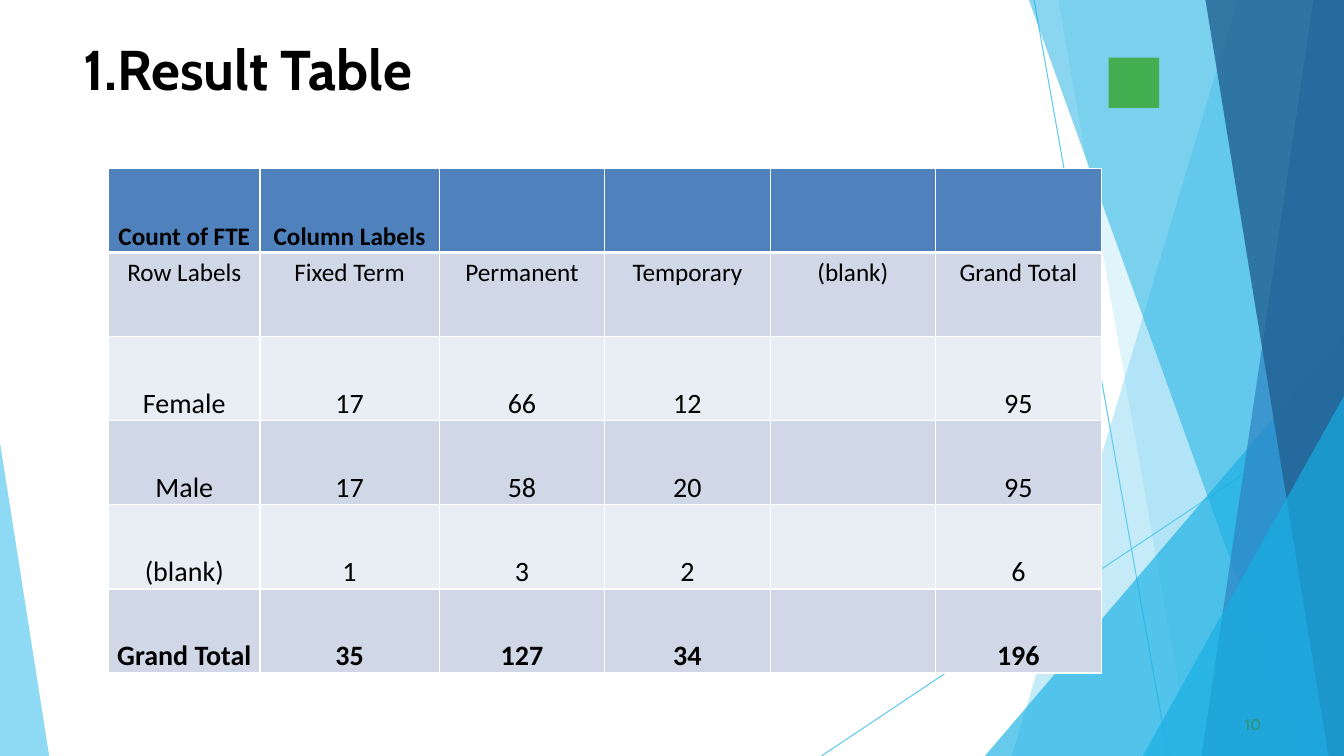
from lxml import etree
from pptx import Presentation
from pptx.dml.color import RGBColor
from pptx.enum.shapes import MSO_CONNECTOR, MSO_SHAPE
from pptx.enum.text import MSO_ANCHOR, MSO_AUTO_SIZE, PP_ALIGN
from pptx.oxml.ns import qn
from pptx.util import Cm, Pt

STRAIGHT = MSO_CONNECTOR.STRAIGHT
RECTANGLE = MSO_SHAPE.RECTANGLE
TOP, BOTTOM = MSO_ANCHOR.TOP, MSO_ANCHOR.BOTTOM
LEFT, CENTER = PP_ALIGN.LEFT, PP_ALIGN.CENTER
NO_AUTOFIT = MSO_AUTO_SIZE.NONE
TITLE_ONLY = 5

COLORS = {
    "sky": "5FCAEE", "cyan": "17AFE3", "blue": "2D83C3", "navy": "226192",
    "green": "42AF51", "page": "2D936B", "black": "000000", "white": "FFFFFF",
    "header": "4F81BD", "dark band": "D0D8E8", "light band": "E9EDF4",
}
WIDTH, HEIGHT = 33.87, 19.05

TITLE = "1.Result Table"
PAGE_NUMBER = "10"
ROWS = [
    ["Count of FTE", "Column Labels", "", "", "", ""],
    ["Row Labels", "Fixed Term", "Permanent", "Temporary", "(blank)", "Grand Total"],
    ["Female", "17", "66", "12", "", "95"],
    ["Male", "17", "58", "20", "", "95"],
    ["(blank)", "1", "3", "2", "", "6"],
    ["Grand Total", "35", "127", "34", "", "196"],
]
COLUMN_WIDTHS = [3.81, 4.52] + [4.17] * 4
ROW_HEIGHT = 2.12
TABLE_LEFT, TABLE_TOP = 2.74, 4.24

RAYS = [(26.06, 0, 29.44, HEIGHT), (WIDTH, 10.26, 20.7, HEIGHT)]


def band(top_x, bottom_x):
    """Outline from a slanted edge to the right side of the slide."""
    return [(WIDTH, 0), (top_x, 0), (bottom_x, HEIGHT), (WIDTH, HEIGHT)]


def corner(top_y, bottom_x, side=WIDTH):
    """Triangle in a lower corner of the slide."""
    return [(side, top_y), (bottom_x, HEIGHT), (side, HEIGHT)]


FACETS = [  # outline, colour, opacity in percent
    (band(31.19, 25.5), "sky", 36),
    (band(26.67, 30.02), "sky", 20),
    (corner(8.46, 24.82), "cyan", 66),
    (band(25.93, 32.79), "cyan", 50),
    (band(33.1, 30.28), "blue", 70),
    (band(30.38, 33.48), "navy", 80),
    (corner(9.98, 28.8), "cyan", 66),
    (corner(11.15, 1.24, side=0), "sky", 70),
]


def rgb(name):
    return RGBColor.from_string(COLORS[name])


def paint(shape, color):
    shape.shadow.inherit = False
    shape.fill.solid()
    shape.fill.fore_color.rgb = rgb(color)
    shape.line.fill.background()


def add_ray(slide, ends):
    ray = slide.shapes.add_connector(STRAIGHT, *[Cm(value) for value in ends])
    ray.line.color.rgb = rgb("sky")
    ray.line.width = Pt(0.75)
    etree.SubElement(ray._element.spPr, qn("a:effectLst"))


def add_facet(slide, outline, color, opacity):
    points = [(Cm(x), Cm(y)) for x, y in outline]
    builder = slide.shapes.build_freeform(*points[0])
    builder.add_line_segments(points[1:], close=True)
    facet = builder.convert_to_shape()
    paint(facet, color)
    fill_color = facet._element.spPr.find(qn("a:solidFill")).find(qn("a:srgbClr"))
    etree.SubElement(fill_color, qn("a:alpha")).set("val", str(opacity * 1000))


def write(para, text, font, size, color="black", bold=False):
    span = para.add_run()
    span.text = text
    span.font.name = font
    span.font.size = Pt(size)
    span.font.bold = bold
    span.font.color.rgb = rgb(color)


def fill_box(box, frame, text, size, color, bold=False):
    box.left, box.top, box.width, box.height = [Cm(value) for value in frame]
    body = box.text_frame
    body.auto_size = NO_AUTOFIT
    body.word_wrap = True
    body.vertical_anchor = TOP
    body.margin_left = Cm(0.05)
    body.margin_top = Cm(0.05)
    body.margin_right = body.margin_bottom = 0
    para = body.paragraphs[0]
    para.alignment = LEFT
    para.space_before = Pt(1)
    write(para, text, "Cabin", size, color, bold)


def add_borders(cell, bottom_width):
    properties = cell._tc.get_or_add_tcPr()
    widths = {"lnL": 1, "lnR": 1, "lnT": 1, "lnB": bottom_width}
    for index, (side, width) in enumerate(widths.items()):
        border = etree.Element(qn("a:" + side), w=str(Pt(width)))
        fill = etree.SubElement(border, qn("a:solidFill"))
        etree.SubElement(fill, qn("a:srgbClr"), val=COLORS["white"])
        properties.insert(index, border)


def fill_cell(cell, text, row):
    is_header, is_label = row == 0, row == 1
    cell.fill.solid()
    band_color = "dark band" if row % 2 else "light band"
    cell.fill.fore_color.rgb = rgb("header" if is_header else band_color)
    add_borders(cell, 3 if is_header else 1)
    if not is_label:
        cell.vertical_anchor = BOTTOM
        cell.margin_left = cell.margin_right = 0
        cell.margin_top = cell.margin_bottom = 0
    if text:
        para = cell.text_frame.paragraphs[0]
        para.alignment = CENTER
        size = 18 if is_header or is_label else 20
        write(para, text, "Calibri", size, bold=row in (0, len(ROWS) - 1))


def add_result_table(slide):
    frame = slide.shapes.add_table(
        len(ROWS), len(COLUMN_WIDTHS), Cm(TABLE_LEFT), Cm(TABLE_TOP),
        Cm(sum(COLUMN_WIDTHS)), Cm(ROW_HEIGHT * len(ROWS)))
    table = frame.table
    for column, width in zip(table.columns, COLUMN_WIDTHS):
        column.width = Cm(width)
    for row, texts in enumerate(ROWS):
        table.rows[row].height = Cm(ROW_HEIGHT)
        for column, text in enumerate(texts):
            fill_cell(table.cell(row, column), text, row)


def main():
    deck = Presentation()
    deck.slide_width, deck.slide_height = Cm(WIDTH), Cm(HEIGHT)
    slide = deck.slides.add_slide(deck.slide_layouts[TITLE_ONLY])

    for ends in RAYS:
        add_ray(slide, ends)
    for outline, color, opacity in FACETS:
        add_facet(slide, outline, color, opacity)

    page_box = slide.shapes.add_textbox(0, 0, 0, 0)
    fill_box(page_box, (31.32, 17.98, 0.64, 0.53), PAGE_NUMBER, 11, "page")
    fill_box(slide.shapes.title, (2.06, 0.81, 11.07, 1.75), TITLE, 40, "black", bold=True)

    square = slide.shapes.add_shape(RECTANGLE, Cm(27.94), Cm(1.45), Cm(1.27), Cm(1.27))
    paint(square, "green")
    add_result_table(slide)
    deck.save("out.pptx")


if __name__ == "__main__":
    main()
